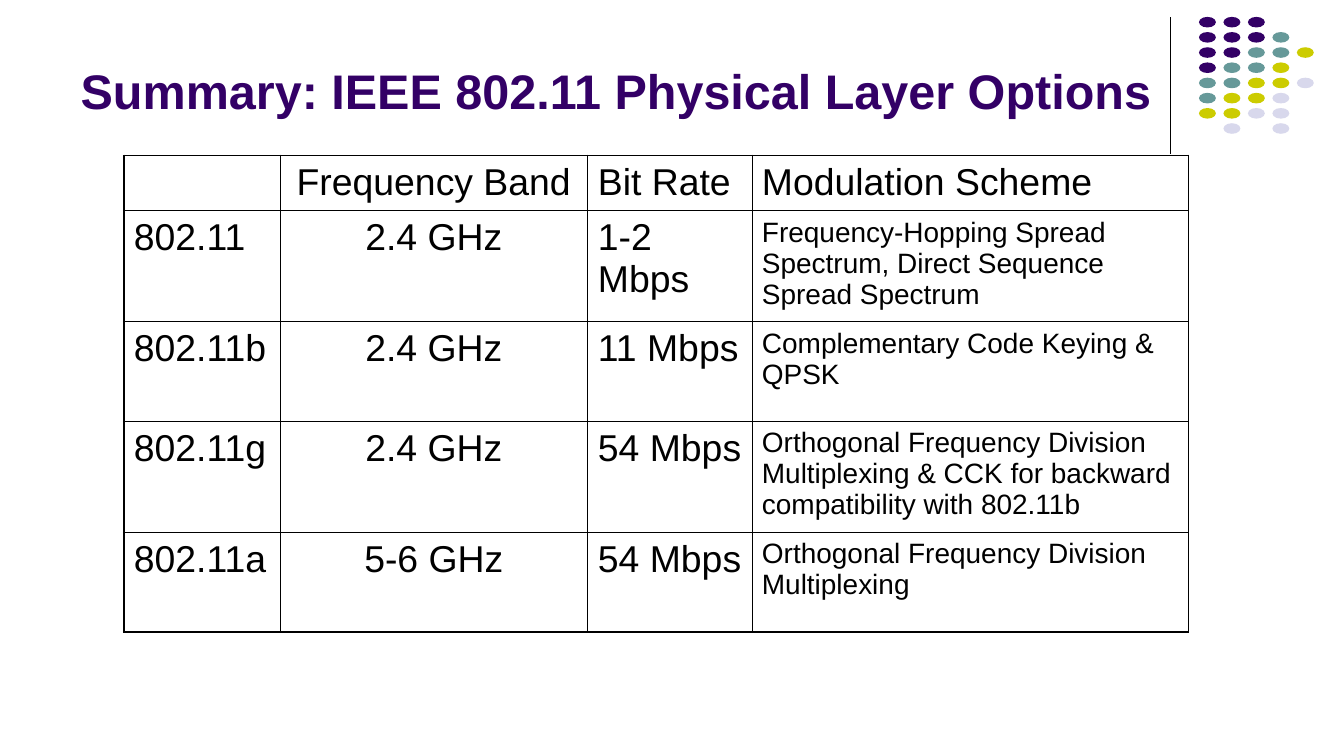
from lxml import etree
from pptx import Presentation
from pptx.dml.color import RGBColor
from pptx.enum.shapes import MSO_CONNECTOR, MSO_SHAPE
from pptx.enum.text import MSO_ANCHOR, PP_ALIGN
from pptx.oxml.ns import qn
from pptx.util import Cm, Pt

STRAIGHT = MSO_CONNECTOR.STRAIGHT
OVAL = MSO_SHAPE.OVAL
BOTTOM = MSO_ANCHOR.BOTTOM
LEFT, CENTER = PP_ALIGN.LEFT, PP_ALIGN.CENTER

BLACK = RGBColor(0x00, 0x00, 0x00)
PURPLE = RGBColor(0x33, 0x00, 0x66)
TEAL = RGBColor(0x66, 0x99, 0x99)
YELLOW = RGBColor(0xCC, 0xCC, 0x00)
LAVENDER = RGBColor(0xD8, 0xD8, 0xEC)
FONT = "Arial"


def add_border(cell, side, width):
    line = etree.SubElement(cell._tc.get_or_add_tcPr(), qn(f"a:ln{side}"), w=str(Pt(width)))
    fill = etree.SubElement(line, qn("a:solidFill"))
    etree.SubElement(fill, qn("a:srgbClr"), val=str(BLACK))


def style_run(run, size, color, bold=False):
    run.font.name = FONT
    run.font.size = Pt(size)
    run.font.color.rgb = color
    run.font.bold = bold


prs = Presentation()
prs.slide_width, prs.slide_height = Cm(25.4), Cm(14.29)
slide = prs.slides.add_slide(prs.slide_layouts[5])

# Vertical rule beside the dots
rule = slide.shapes.add_connector(STRAIGHT, Cm(22.12), Cm(0.33), Cm(22.12), Cm(2.92))
rule.line.color.rgb = BLACK
rule.line.width = Pt(0.75)
etree.SubElement(rule._element.spPr, qn("a:effectLst"))

# Corner dots: one letter per dot colour, a space where there is none
dot_colors = {"P": PURPLE, "T": TEAL, "Y": YELLOW, "L": LAVENDER}
dot_rows = ["PPP", "PPPT", "PPTTY", "PTTY", "TTYYL", "TYYL", "YYLL", " L L"]
column_gap, row_gap = 1.85 / 4, 2.01 / 7
for row, letters in enumerate(dot_rows):
    for column, letter in enumerate(letters):
        if letter == " ":
            continue
        dot = slide.shapes.add_shape(OVAL, Cm(22.66 + column * column_gap),
                                     Cm(0.32 + row * row_gap), Cm(0.32), Cm(0.2))
        dot.shadow.inherit = False
        dot.fill.solid()
        dot.fill.fore_color.rgb = dot_colors[letter]
        dot.line.fill.background()

# Title
title = slide.shapes.title
title.left, title.top, title.width, title.height = Cm(1.27), Cm(0.25), Cm(21.21), Cm(2.13)
title.text_frame.text = "Summary: IEEE 802.11 Physical Layer Options"
title.text_frame.vertical_anchor = BOTTOM
title.text_frame.paragraphs[0].alignment = LEFT
style_run(title.text_frame.paragraphs[0].runs[0], 26, PURPLE, bold=True)

# Table of physical layer options
options = [
    ["", "Frequency Band", "Bit Rate", "Modulation Scheme"],
    ["802.11", "2.4 GHz", "1-2 Mbps",
     "Frequency-Hopping Spread Spectrum, Direct Sequence Spread Spectrum"],
    ["802.11b", "2.4 GHz", "11 Mbps", "Complementary Code Keying & QPSK"],
    ["802.11g", "2.4 GHz", "54 Mbps",
     "Orthogonal Frequency Division Multiplexing & CCK for backward "
     "compatibility with 802.11b"],
    ["802.11a", "5-6 GHz", "54 Mbps", "Orthogonal Frequency Division Multiplexing"],
]
column_widths = [2.95, 5.82, 3.1, 8.25]
row_heights = [1.04, 2.1, 1.88, 2.1, 1.88]
last_row, last_column = len(row_heights) - 1, len(column_widths) - 1

table = slide.shapes.add_table(len(row_heights), len(column_widths), Cm(2.34), Cm(2.94),
                               Cm(sum(column_widths)), Cm(sum(row_heights))).table
table.first_row = table.horz_banding = False
for column, width in enumerate(column_widths):
    table.columns[column].width = Cm(width)
for row, height in enumerate(row_heights):
    table.rows[row].height = Cm(height)

for row, texts in enumerate(options):
    for column, text in enumerate(texts):
        cell = table.cell(row, column)
        cell.margin_left = cell.margin_right = Cm(0.19)
        cell.margin_top = cell.margin_bottom = Cm(0.12)

        outer_sides = {"L": column == 0, "R": column == last_column,
                       "T": row == 0, "B": row == last_row}
        for side, is_outer in outer_sides.items():
            add_border(cell, side, 1.08 if is_outer else 0.45)
        cell.fill.background()

        cell.text_frame.text = text
        paragraph = cell.text_frame.paragraphs[0]
        paragraph.alignment = CENTER if column == 1 else LEFT
        is_scheme = row > 0 and column == last_column
        for run in paragraph.runs:
            style_run(run, 15 if is_scheme else 20, BLACK)

prs.save("out.pptx")
